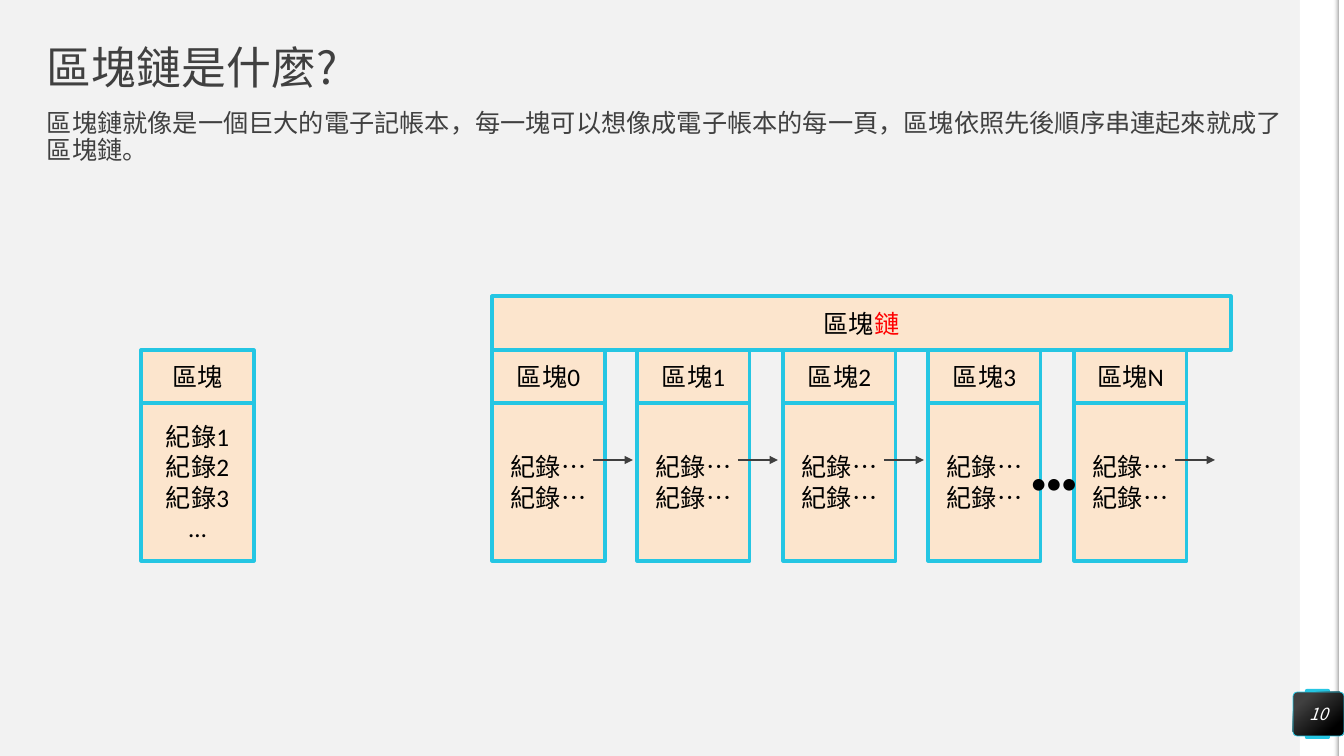
from dataclasses import dataclass

from lxml import etree
from pptx import Presentation
from pptx import util as u
from pptx.dml.color import RGBColor
from pptx.enum import shapes, text
from pptx.oxml.ns import qn


@dataclass(frozen=True)
class Theme:
    """Colours, fonts and type sizes of the slide."""
    back: str = "F2F2F2"
    white: str = "FFFFFF"
    black: str = "000000"
    grey: str = "404040"
    shade: str = "A6A6A6"
    arrow: str = "3F3F3F"
    accent: str = "25C6E3"
    block: str = "FCE5CD"
    red: str = "FF0000"
    cjk: str = "Noto Sans CJK TC"
    latin: str = "Calibri"
    title: int = 32
    body: int = 18
    number: int = 12


T = Theme()
CENTER = text.PP_ALIGN.CENTER
LEFT = text.PP_ALIGN.LEFT
MIDDLE = text.MSO_ANCHOR.MIDDLE
TOP = text.MSO_ANCHOR.TOP
RECT = shapes.MSO_SHAPE.RECTANGLE
ROUND = shapes.MSO_SHAPE.ROUNDED_RECTANGLE


def px(n):
    """Turn pixels into EMU."""
    return u.Inches(n / 100.8)


def rgb(hex_color):
    """Return a colour object."""
    return RGBColor.from_string(hex_color)


def add_box(slide, x, y, w, h, fill, line=None, width=2.25, kind=RECT, radius=0):
    """Add a filled shape, outlined when a line colour is given."""
    sp = slide.shapes.add_shape(kind, px(x), px(y), px(w), px(h))
    sp.shadow.inherit = False
    sp.fill.solid()
    sp.fill.fore_color.rgb = rgb(fill)
    if line:
        sp.line.color.rgb = rgb(line)
        sp.line.width = u.Pt(width)
    else:
        sp.line.fill.background()
    if radius:
        sp.adjustments[0] = radius
    return sp


def set_gradient(sp, stops, angle):
    """Fill a shape with a two-stop linear gradient."""
    sp.fill.gradient()
    sp.fill.gradient_angle = angle
    for stop, (position, color) in zip(sp.fill.gradient_stops, stops):
        stop.position = position
        stop.color.rgb = rgb(color)


def write(sp, lines, size, font, color, align=CENTER, anchor=MIDDLE, inset=0,
          spacing=None, italic=None, wrap=True):
    """Write paragraphs, each a list of (words, colour or None) runs."""
    tf = sp.text_frame
    tf.word_wrap = wrap
    tf.vertical_anchor = anchor
    tf.margin_left = tf.margin_top = tf.margin_right = tf.margin_bottom = px(inset)
    for i, runs in enumerate(lines):
        p = tf.add_paragraph() if i else tf.paragraphs[0]
        p.alignment = align
        p.line_spacing = spacing
        p.font.size = u.Pt(size)
        p.font.name = font
        p.font.italic = italic
        p.font.color.rgb = rgb(color)
        if font == T.cjk:
            props = p._p.pPr.find(qn("a:defRPr"))
            etree.SubElement(props, qn("a:ea"), typeface=font)
        for words, run_color in runs:
            r = p.add_run()
            r.text = words
            if run_color:
                r.font.color.rgb = rgb(run_color)


def add_cell(slide, x, y, w, h, lines):
    """Add one outlined cell of a block."""
    sp = add_box(slide, x, y, w, h, T.block, T.accent)
    write(sp, lines, T.body, T.latin, T.black, inset=10)


def add_block(slide, x, y, w, h, name, records):
    """Add a block: a header cell above a cell of records."""
    head = 53
    add_cell(slide, x, y + head, w, h - head, [[(record, None)] for record in records])
    add_cell(slide, x, y, w, head, [[(name, None)]])


def add_arrow(slide, x, y, length):
    """Add an arrow pointing right."""
    line = slide.shapes.add_connector(
        shapes.MSO_CONNECTOR.STRAIGHT, px(x), px(y), px(x + length), px(y))
    line.line.color.rgb = rgb(T.arrow)
    line.line.width = u.Pt(0.75)
    etree.SubElement(line.line._get_or_add_ln(), qn("a:tailEnd"), type="triangle")
    etree.SubElement(line._element.spPr, qn("a:effectLst"))


def add_text(slide, x, y, w, h, words, size, font, color, **style):
    """Add a text box holding one paragraph."""
    sp = slide.shapes.add_textbox(px(x), px(y), px(w), px(h))
    write(sp, [[(words, None)]], size, font, color, **style)


def add_chain(slide, x, y, w, h):
    """Add the banner with its row of linked blocks below."""
    banner, block_w, span = 54, 113, 582
    names = ["區塊0", "區塊1", "區塊2", "區塊3", "區塊N"]
    last = len(names) - 1
    lefts = [x + i * span // last for i in range(len(names))]
    add_cell(slide, x, y, w, banner, [[("區塊", None), ("鏈", T.red)]])
    for left, name in zip(lefts, names):
        add_block(slide, left, y + banner, block_w, h - banner, name, ["紀錄…"] * 2)
    for i, left in enumerate(lefts):
        if i == last - 1:
            add_text(slide, left + 88, y + 107, 76, h - 107, "●●●", T.body,
                     T.latin, T.black, inset=10, wrap=False)
        else:
            add_arrow(slide, left + 101, y + 164, 40)


def add_sidebar(slide, x, y, w, h):
    """Add the white edge strip with its shaded border and number tab."""
    add_box(slide, x, y, 39, h, T.white)
    add_box(slide, x + 5, y + 689, 25, 50, T.accent, kind=ROUND, radius=0.07)
    add_box(slide, x + w - 5, y, 5, h, T.white)
    edge = add_box(slide, x + w - 10, y, 5, h, T.white)
    set_gradient(edge, [(0, T.back), (1, T.shade)], 0)
    first = edge._element.spPr.find(".//" + qn("a:srgbClr"))
    etree.SubElement(first, qn("a:alpha"), val="0")


def add_number(slide, x, y, w, h, number):
    """Add the dark page number badge."""
    sp = add_box(slide, x, y, w, h, T.black, T.accent, 0.5, ROUND, 0.1)
    set_gradient(sp, [(0.2, T.grey), (0.82, T.black)], 310)
    write(sp, [[(number, None)]], T.number, T.cjk, T.white, italic=True)


def add_heading(slide, x, y, w):
    """Add the title and the explanation below it."""
    add_text(slide, x, y, w, 47, "區塊鏈是什麼?", T.title, T.cjk, T.grey,
             align=LEFT, spacing=0.9)
    add_text(slide, x, y + 64, w, 55,
             "區塊鏈就像是一個巨大的電子記帳本，每一塊可以想像成電子帳本的每一頁，"
             "區塊依照先後順序串連起來就成了區塊鏈。",
             T.body, T.cjk, T.grey, align=LEFT, anchor=TOP, spacing=0.9)


def main():
    """Build the slide and save it."""
    prs = Presentation()
    prs.slide_width, prs.slide_height = px(1344), px(756)
    slide = prs.slides.add_slide(prs.slide_layouts[6])
    slide.background.fill.solid()
    slide.background.fill.fore_color.rgb = rgb(T.back)
    add_sidebar(slide, 1300, 0, 44, 756)
    add_heading(slide, 47, 47, 1250)
    add_number(slide, 1293, 692, 51, 44, "10")
    add_block(slide, 141, 350, 113, 211, "區塊", ["紀錄1", "紀錄2", "紀錄3", "…"])
    add_chain(slide, 492, 296, 739, 265)
    prs.save("out.pptx")


if __name__ == "__main__":
    main()
